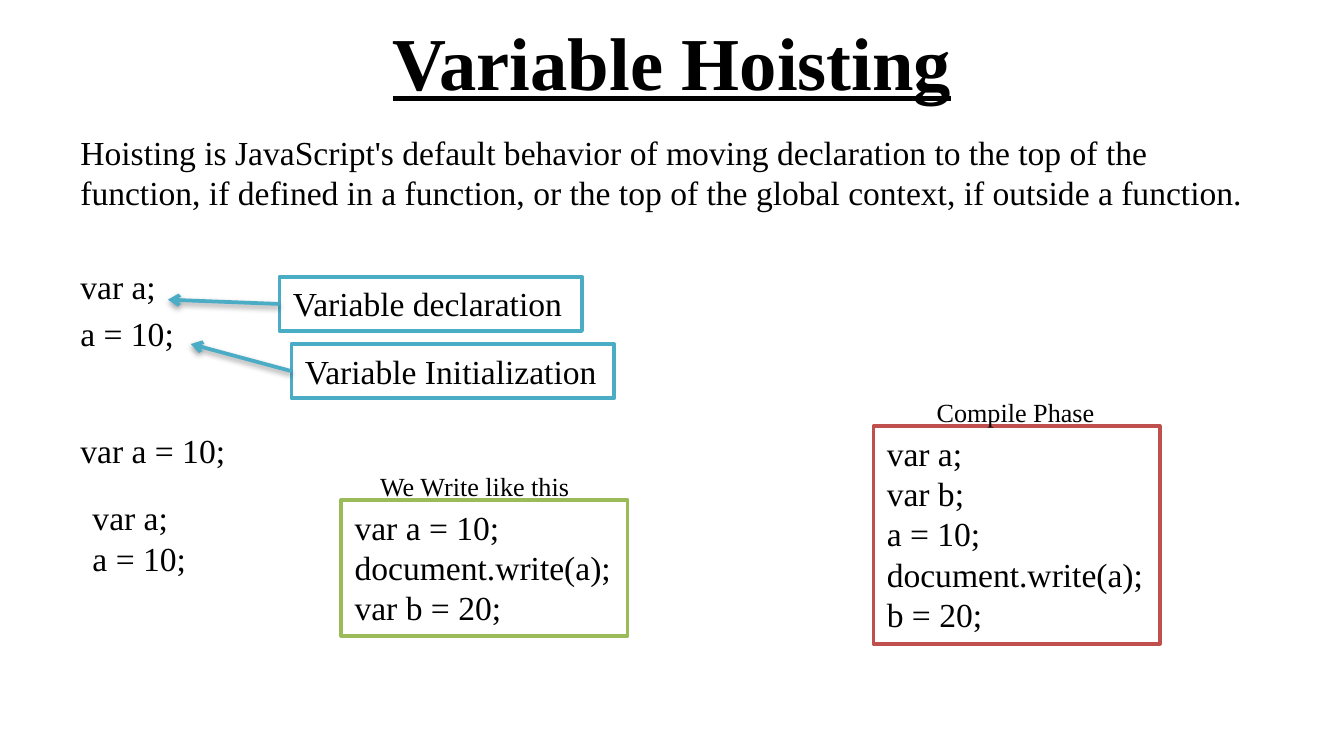
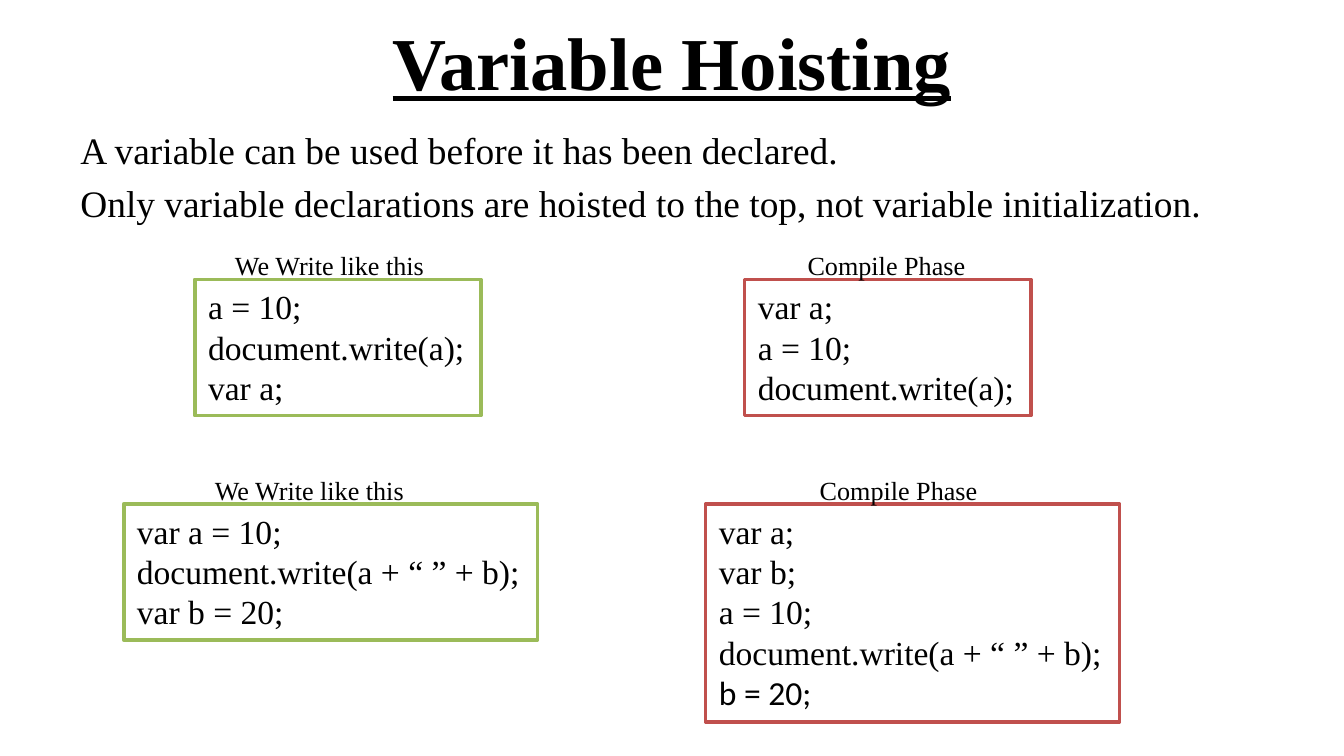
from lxml import etree
from pptx import Presentation
from pptx.dml.color import RGBColor
from pptx.enum.shapes import MSO_CONNECTOR, MSO_SHAPE
from pptx.enum.text import MSO_ANCHOR, MSO_AUTO_SIZE as AutoSize, PP_ALIGN
from pptx.oxml import parse_xml
from pptx.oxml.ns import nsdecls, qn
from pptx.util import Inches, Pt

COLORS = {
    "text": "000000",
    "paper": "FFFFFF",
    "callout": "4BACC6",
    "written": "9BBB59",
    "compiled": "C0504D",
}
SERIF, SANS = "Times New Roman", "Calibri"
TITLE_SIZE, CODE_SIZE, LABEL_SIZE = 40, 18, 14

deck = Presentation()
deck.slide_width, deck.slide_height = Inches(10), Inches(5.625)

# The grid has 100 columns and 56.25 rows of square cells.
COL = deck.slide_width / 100
ROW = deck.slide_height / 56.25
LINE_ROWS, PADDING_ROWS = 3.04, 1
LABEL_RISE, LABEL_ROWS = 2.7, 3.4
BODY_LEFT, BODY_COLS = 5, 90


def place_text(slide, left, top, cols, rows, lines, size, outline=None, wrap=False):
    """Put lines of text on the grid, in a box when an outline colour is named."""
    area = [round(n) for n in (left * COL, top * ROW, cols * COL, rows * ROW)]
    if outline:
        holder = slide.shapes.add_shape(MSO_SHAPE.RECTANGLE, *area)
        holder.shadow.inherit = False
        holder.fill.solid()
        holder.fill.fore_color.rgb = RGBColor.from_string(COLORS["paper"])
        holder.line.color.rgb = RGBColor.from_string(COLORS[outline])
        holder.line.width = Pt(2)
    else:
        holder = slide.shapes.add_textbox(*area)
    frame = holder.text_frame
    frame.word_wrap = wrap
    frame.auto_size = AutoSize.NONE if wrap else AutoSize.SHAPE_TO_FIT_TEXT
    frame.vertical_anchor = MSO_ANCHOR.TOP
    for number, line in enumerate(lines):
        paragraph = frame.add_paragraph() if number else frame.paragraphs[0]
        paragraph.alignment = PP_ALIGN.LEFT
        run = paragraph.add_run()
        run.text = line
        run.font.name = SERIF
        run.font.size = Pt(size)
        run.font.color.rgb = RGBColor.from_string(COLORS["text"])
    return holder


def add_code_panel(slide, kind, left, top, cols, label_left, code):
    rows = len(code) * LINE_ROWS + PADDING_ROWS
    panel = place_text(slide, left, top, cols, rows, code, CODE_SIZE, kind)
    label, label_cols = PANEL_LABELS[kind]
    place_text(slide, label_left, top - LABEL_RISE, label_cols, LABEL_ROWS,
               [label], LABEL_SIZE)
    return panel


PANEL_LABELS = {"written": ("We Write like this", 16.2),
                "compiled": ("Compile Phase", 13.9)}

# What both slides share: title and body text
bodies = [
    (9.3, 24.1, CODE_SIZE, [
        "Hoisting is JavaScript's default behavior of moving declaration to the top "
        "of the function, if defined in a function, or the top of the global "
        "context, if outside a function.",
        "var a;",
        "a = 10;",
    ]),
    (9, 8.3, 20, [
        "A variable can be used before it has been declared.",
        "Only variable declarations are hoisted to the top, not variable initialization.",
    ]),
]
slides, body_frames = [], []
for top, rows, size, lines in bodies:
    slide = deck.slides.add_slide(deck.slide_layouts[6])
    title = place_text(slide, BODY_LEFT, -0.2, BODY_COLS, 9.4,
                       ["Variable Hoisting"], TITLE_SIZE, wrap=True).text_frame
    title.vertical_anchor = MSO_ANCHOR.MIDDLE
    title.paragraphs[0].alignment = PP_ALIGN.CENTER
    title_font = title.paragraphs[0].runs[0].font
    title_font.bold = title_font.underline = True
    body = place_text(slide, BODY_LEFT, top, BODY_COLS, rows, lines, size,
                      wrap=True).text_frame
    for paragraph in body.paragraphs:
        paragraph.space_before = Pt(size * 0.2)
    slides.append(slide)
    body_frames.append(body)

# Slide 1: definition, callouts and a first example
definition, examples = slides
body_frames[0].paragraphs[1].space_before = Pt(28.8)

callouts = [
    ("Variable declaration", 20.8, 20.6, 22.5, 12.5, 22.3),
    ("Variable Initialization", 21.7, 25.6, 24, 14.2, 25.6),
]
for wording, left, top, cols, tip_x, tip_y in callouts:
    callout = place_text(definition, left, top, cols, LINE_ROWS + PADDING_ROWS,
                         [wording], CODE_SIZE, "callout")
    arrow = definition.shapes.add_connector(
        MSO_CONNECTOR.STRAIGHT, callout.left, callout.top + callout.height // 2,
        round(tip_x * COL), round(tip_y * ROW))
    arrow.begin_connect(callout, 1)
    arrow.line.color.rgb = RGBColor.from_string(COLORS["callout"])
    arrow.line.width = Pt(2)
    etree.SubElement(arrow.line._get_or_add_ln(), qn("a:tailEnd"), type="arrow")
    arrow._element.spPr.append(parse_xml(
        f'<a:effectLst {nsdecls("a")}>'
        '<a:outerShdw blurRad="40000" dist="20000" dir="5400000" rotWithShape="0">'
        f'<a:srgbClr val="{COLORS["text"]}"><a:alpha val="38000"/></a:srgbClr>'
        '</a:outerShdw></a:effectLst>'))

place_text(definition, 5.9, 36.5, 11.6, 7.1, ["var a;", "a = 10;"], CODE_SIZE, wrap=True)
place_text(definition, 5, 31.5, 12.9, 4, ["var a = 10;"], CODE_SIZE)

WRITE_A = "document.write(a);"
WRITE_BOTH = "document.write(a + “ ” + b);"
panels = [
    (definition, "written", 25.4, 37.2, 21.3, 27.3,
     ["var a = 10;", WRITE_A, "var b = 20;"]),
    (definition, "compiled", 65, 31.7, 21.3, 68.7,
     ["var a;", "var b;", "a = 10;", WRITE_A, "b = 20;"]),
    # Slide 2: each row pairs the written code with its compiled order
    (examples, "written", 14.5, 20.8, 21.3, 16.5, ["a = 10;", WRITE_A, "var a;"]),
    (examples, "compiled", 55.4, 20.8, 21.3, 59.1, ["var a;", "a = 10;", WRITE_A]),
    (examples, "written", 9.2, 37.5, 30.8, 15,
     ["var a = 10;", WRITE_BOTH, "var b = 20;"]),
    (examples, "compiled", 52.5, 37.5, 30.8, 60,
     ["var a;", "var b;", "a = 10;", WRITE_BOTH, "b = 20;"]),
]
for panel in panels:
    last_panel = add_code_panel(*panel)
last_panel.text_frame.paragraphs[-1].runs[0].font.name = SANS

deck.save("out.pptx")
